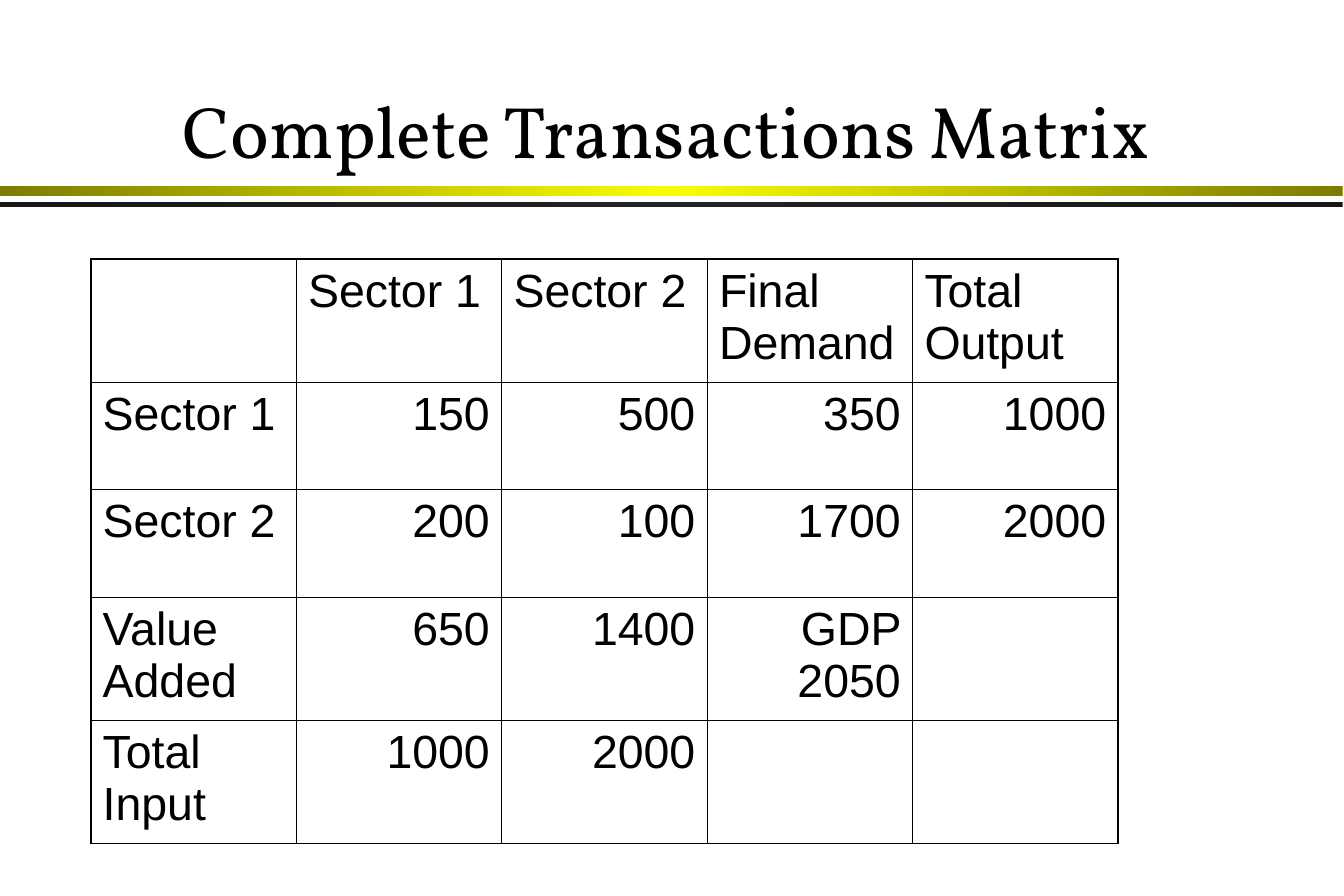
import copy

import lxml.etree
import pptx
import pptx.dml.color
import pptx.enum.shapes
import pptx.enum.text
import pptx.oxml.ns
import pptx.util

Inches = pptx.util.Inches
Pt = pptx.util.Pt
ALIGN = pptx.enum.text.PP_ALIGN
COLOURS = {
    "black": "000000",
    "olive": "7C7D00",
    "yellow": "FAFD00",
    "charcoal": "181818",
    "graphite": "232323",
}
ROWS = [
    ["", "Sector 1", "Sector 2", "Final Demand", "Total Output"],
    ["Sector 1", "150", "500", "350", "1000"],
    ["Sector 2", "200", "100", "1700", "2000"],
    ["Value Added", "650", "1400", "GDP 2050", ""],
    ["Total Input", "1000", "2000", "", ""],
]
ROW_HEIGHTS = [1.03, 0.9, 0.9, 1.03, 1.03]
COLUMN_WIDTH = 1.72


def rgb(name):
    return pptx.dml.color.RGBColor.from_string(COLOURS[name])


def write_text(text_frame, text, font="Arial", size=28, colour="black",
               align=ALIGN.LEFT, space_before=0):
    paragraph = text_frame.paragraphs[0]
    paragraph.alignment = align
    paragraph.space_before = Pt(space_before)
    run = paragraph.add_run()
    run.text = text
    run.font.name = font
    run.font.size = Pt(size)
    run.font.color.rgb = rgb(colour)


class SlideBuilder:
    """Holds the slide style and adds each kind of element to the slide."""

    outer_line = 1.08
    inner_line = 0.45

    def __init__(self, presentation):
        self.slide = presentation.slides.add_slide(presentation.slide_layouts[5])

    def title(self, text, left, top, width, height):
        shape = self.slide.shapes.title
        shape.left, shape.top = Inches(left), Inches(top)
        shape.width, shape.height = Inches(width), Inches(height)
        text_frame = shape.text_frame
        text_frame.auto_size = pptx.enum.text.MSO_AUTO_SIZE.NONE
        text_frame.vertical_anchor = pptx.enum.text.MSO_ANCHOR.BOTTOM
        write_text(text_frame, text, font="Vollkorn", size=44, align=ALIGN.CENTER)

    def gradient_bar(self, top, height, edge, middle):
        shape = self.slide.shapes.add_shape(
            pptx.enum.shapes.MSO_SHAPE.RECTANGLE,
            0, Inches(top), Inches(11.24), Inches(height))
        shape.shadow.inherit = False
        shape.line.fill.background()
        shape.fill.gradient()
        shape.fill.gradient_angle = 0
        stop_list = next(shape.element.iter(pptx.oxml.ns.qn("a:gsLst")))
        stop_list.insert(1, copy.deepcopy(stop_list[0]))
        stops = zip(shape.fill.gradient_stops, (0, 0.5, 1), (edge, middle, edge))
        for stop, position, colour in stops:
            stop.position = position
            stop.color.rgb = rgb(colour)

    def cell_border(self, cell, side, width):
        qn = pptx.oxml.ns.qn
        properties = cell._tc.get_or_add_tcPr()
        line = lxml.etree.SubElement(properties, qn(f"a:ln{side}"), w=str(Pt(width)))
        fill = lxml.etree.SubElement(line, qn("a:solidFill"))
        lxml.etree.SubElement(fill, qn("a:srgbClr"), val=COLOURS["black"])

    def table(self, rows, left, top, column_width, row_heights):
        row_count, column_count = len(rows), len(rows[0])
        table = self.slide.shapes.add_table(
            row_count, column_count, Inches(left), Inches(top),
            Inches(column_width * column_count), Inches(sum(row_heights))).table
        table.first_row = table.horz_banding = False
        for column in table.columns:
            column.width = Inches(column_width)
        for row, height in zip(table.rows, row_heights):
            row.height = Inches(height)
        for i, texts in enumerate(rows):
            for j, text in enumerate(texts):
                cell = table.cell(i, j)
                outer_sides = {"L": j == 0, "R": j == column_count - 1,
                               "T": i == 0, "B": i == row_count - 1}
                for side, is_outer in outer_sides.items():
                    self.cell_border(
                        cell, side, self.outer_line if is_outer else self.inner_line)
                cell.fill.background()
                if text:
                    align = ALIGN.RIGHT if i and j else ALIGN.LEFT
                    write_text(cell.text_frame, text, align=align, space_before=7)


def main():
    presentation = pptx.Presentation()
    presentation.slide_width = Inches(11.25)
    presentation.slide_height = Inches(7.5)
    builder = SlideBuilder(presentation)
    builder.gradient_bar(1.56, 0.08, "olive", "yellow")
    builder.gradient_bar(1.69, 0.04, "charcoal", "graphite")
    builder.title("Complete Transactions Matrix", 1.29, 0.25, 8.58, 1.25)
    builder.table(ROWS, 0.76, 2.17, COLUMN_WIDTH, ROW_HEIGHTS)
    presentation.save("out.pptx")


if __name__ == "__main__":
    main()
